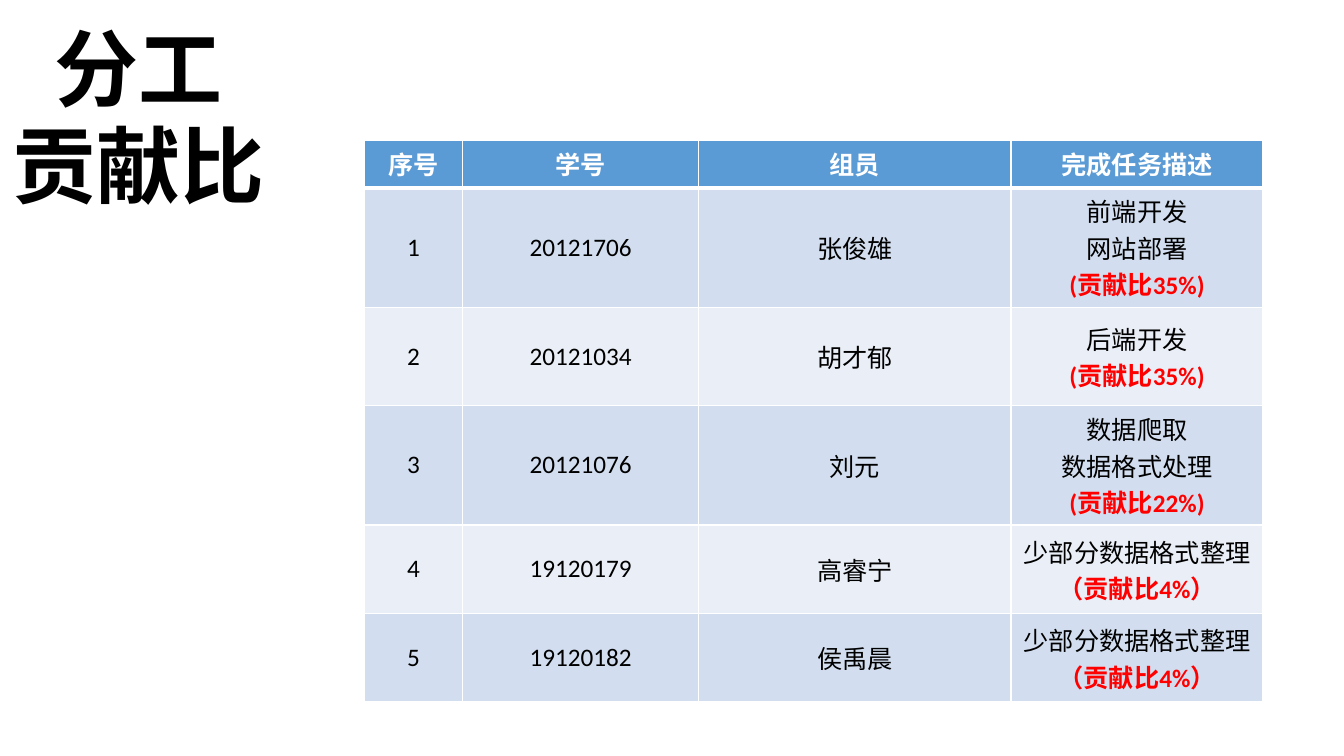
from dataclasses import dataclass

from lxml.etree import SubElement
from pptx import Presentation
from pptx.dml.color import RGBColor as RGB
from pptx.enum.text import MSO_ANCHOR as Anchor, MSO_AUTO_SIZE as AutoSize, PP_ALIGN as Align
from pptx.oxml.ns import qn
from pptx.util import Cm, Pt


@dataclass(frozen=True)
class Theme:
    title_font: str = "Noto Sans CJK SC"
    table_font: str = "Calibri"
    title_size: int = 60
    table_size: int = 18
    black: str = "000000"
    white: str = "FFFFFF"
    red: str = "FF0000"
    header: str = "5B9BD5"
    bands: tuple[str, str] = ("D2DEEF", "EAEFF7")


@dataclass(frozen=True)
class Member:
    number: str
    student_id: str
    name: str
    tasks: tuple[str, ...]
    share: str
    height: float


@dataclass(frozen=True)
class TitleLine:
    text: str
    left: float
    top: float
    width: float
    height: float = 2.82


THEME = Theme()
TITLES = (TitleLine("分工", 1.12, 0.3, 4.78), TitleLine("贡献比", 0.06, 2.74, 6.93))
HEADINGS = ("序号", "学号", "组员", "完成任务描述")
WIDTHS = (2.48, 5.95, 7.87, 6.35)
HEADER_HEIGHT = 1.2
MEMBERS = (
    Member("1", "20121706", "张俊雄", ("前端开发", "网站部署"), "(贡献比35%)", 3.01),
    Member("2", "20121034", "胡才郁", ("后端开发",), "(贡献比35%)", 2.48),
    Member("3", "20121076", "刘元", ("数据爬取", "数据格式处理"), "(贡献比22%)", 3.01),
    Member("4", "19120179", "高睿宁", ("少部分数据格式整理",), "（贡献比4%）", 2.23),
    Member("5", "19120182", "侯禹晨", ("少部分数据格式整理",), "（贡献比4%）", 2.23),
)


def style_font(font, name: str, size: int, color: str, bold: bool) -> None:
    font.name, font.size, font.bold = name, Pt(size), bold
    font.color.rgb = RGB.from_string(color)


def write_title(shape, line: TitleLine) -> None:
    shape.left, shape.top = Cm(line.left), Cm(line.top)
    shape.width, shape.height = Cm(line.width), Cm(line.height)
    tf = shape.text_frame
    tf.text = line.text
    tf.word_wrap = False
    tf.auto_size = AutoSize.SHAPE_TO_FIT_TEXT
    tf.vertical_anchor = Anchor.TOP
    p = tf.paragraphs[0]
    p.alignment = Align.LEFT
    style_font(p.font, THEME.title_font, THEME.title_size, THEME.black, True)
    # East Asian typeface
    SubElement(p.font._element, qn("a:ea"), typeface=THEME.title_font)


def set_borders(cell, bottom: int) -> None:
    tc_pr = cell._tc.get_or_add_tcPr()
    for side, width in (("L", 1), ("R", 1), ("T", 1), ("B", bottom)):
        ln = SubElement(tc_pr, qn(f"a:ln{side}"), w=str(Pt(width)))
        fill = SubElement(ln, qn("a:solidFill"))
        SubElement(fill, qn("a:srgbClr"), val=THEME.white)


def fill_cell(cell, lines: tuple[str, ...], fill: str, color: str,
              bold: bool = False, share: str = "", bottom: int = 1) -> None:
    set_borders(cell, bottom)
    cell.fill.solid()
    cell.fill.fore_color.rgb = RGB.from_string(fill)
    tf = cell.text_frame
    tf.text = "\n".join((*lines, share) if share else lines)
    for p in tf.paragraphs:
        p.alignment = Align.CENTER
        is_share = bool(share) and p.text == share
        style_font(p.font, THEME.table_font, THEME.table_size,
                   THEME.red if is_share else color, bold or is_share)


def add_member_table(s) -> None:
    heights = (HEADER_HEIGHT, *(m.height for m in MEMBERS))
    table = s.shapes.add_table(len(heights), len(WIDTHS), Cm(9.18), Cm(3.53),
                               Cm(sum(WIDTHS)), Cm(sum(heights))).table
    for column, width in zip(table.columns, WIDTHS):
        column.width = Cm(width)
    for row, height in zip(table.rows, heights):
        row.height = Cm(height)

    # Header row
    for col, heading in enumerate(HEADINGS):
        fill_cell(table.cell(0, col), (heading,), THEME.header, THEME.white,
                  bold=True, bottom=3)

    # One row per member
    for row, m in enumerate(MEMBERS, start=1):
        band = THEME.bands[(row - 1) % 2]
        for col, text in enumerate((m.number, m.student_id, m.name)):
            fill_cell(table.cell(row, col), (text,), band, THEME.black)
        fill_cell(table.cell(row, 3), m.tasks, band, THEME.black, share=m.share)
        for col in range(len(WIDTHS)):
            table.cell(row, col).vertical_anchor = Anchor.MIDDLE


def main() -> None:
    prs = Presentation()
    prs.slide_width, prs.slide_height = Cm(33.87), Cm(19.05)
    s = prs.slides.add_slide(prs.slide_layouts[5])

    add_member_table(s)

    # Title in two lines
    first, second = TITLES
    write_title(s.shapes.title, first)
    write_title(s.shapes.add_textbox(0, 0, 0, 0), second)

    prs.save("out.pptx")


if __name__ == "__main__":
    main()
